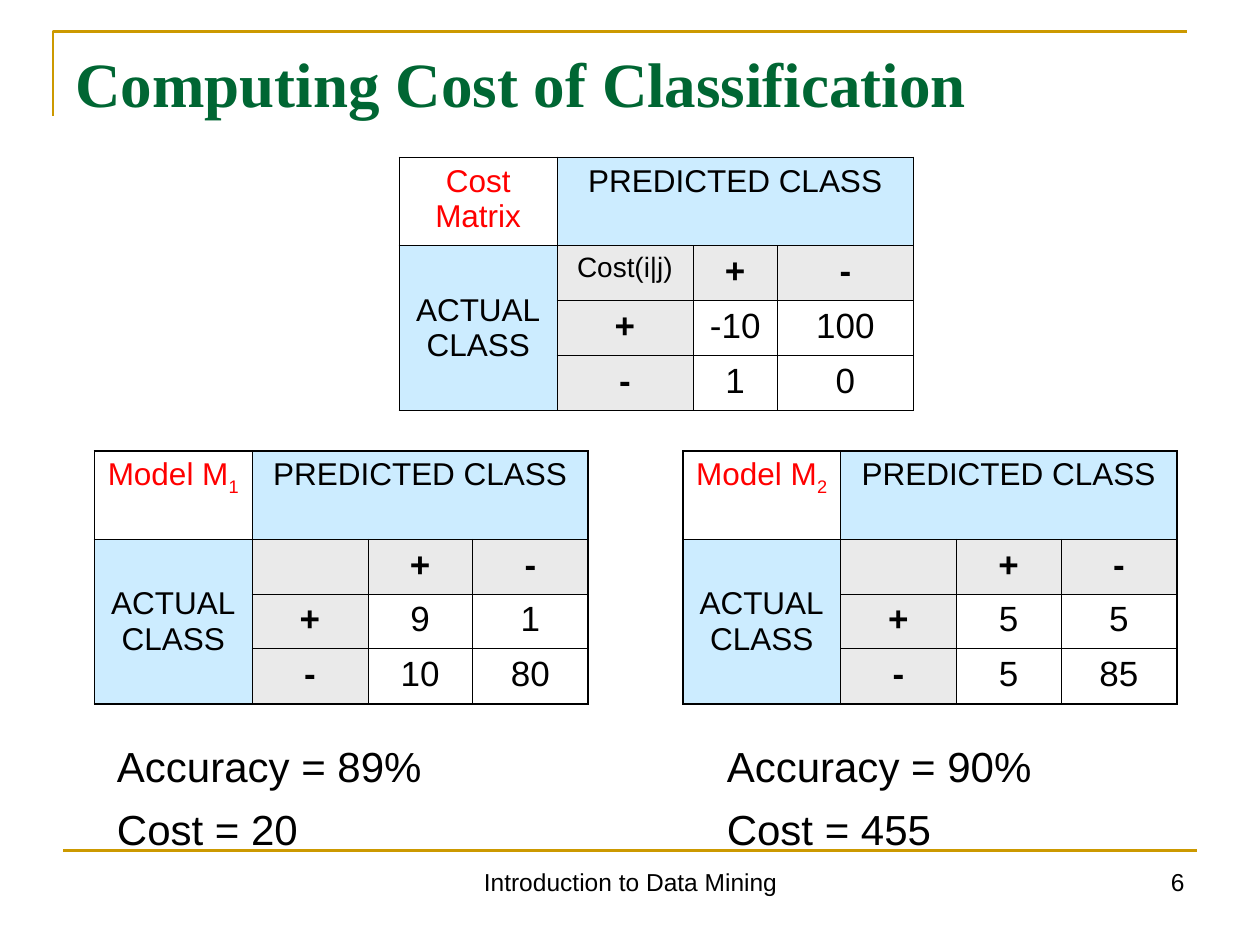
import lxml.etree
import pptx
import pptx.dml.color
import pptx.enum.shapes
import pptx.enum.text
import pptx.oxml.ns
import pptx.util

Inches = pptx.util.Inches
Pt = pptx.util.Pt
RGBColor = pptx.dml.color.RGBColor
Align = pptx.enum.text.PP_ALIGN
Anchor = pptx.enum.text.MSO_ANCHOR
qn = pptx.oxml.ns.qn

GOLD = RGBColor(0xCC, 0x99, 0x00)
GREEN = RGBColor(0x00, 0x66, 0x33)
RED = RGBColor(0xFF, 0x00, 0x00)
BLACK = RGBColor(0x00, 0x00, 0x00)
PALE_BLUE = RGBColor(0xCC, 0xEC, 0xFF)
PALE_GRAY = RGBColor(0xEA, 0xEA, 0xEA)


def write_text(frame, text, size=18, color=BLACK, bold=False, font="Arial",
               align=Align.LEFT, before=0, after=0, subscript=""):
    frame.word_wrap = True
    for index, line in enumerate(text.split("\n")):
        paragraph = frame.add_paragraph() if index else frame.paragraphs[0]
        paragraph.alignment = align
        paragraph.space_before = Pt(before)
        paragraph.space_after = Pt(after)
        for part in filter(None, (line, subscript)):
            run = paragraph.add_run()
            run.text = part
            run.font.size = Pt(size)
            run.font.name = font
            run.font.bold = bold
            run.font.color.rgb = color
        if subscript:
            run._r.get_or_add_rPr().set("baseline", "-25000")


def set_borders(cell, widths):
    properties = cell._tc.get_or_add_tcPr()
    for index, (side, width) in enumerate(zip("LRTB", widths)):
        border = lxml.etree.Element(qn(f"a:ln{side}"), w=str(Pt(width)))
        fill = lxml.etree.SubElement(border, qn("a:solidFill"))
        lxml.etree.SubElement(fill, qn("a:srgbClr"), val=str(BLACK))
        properties.insert(index, border)


deck = pptx.Presentation()
deck.slide_width = Inches(10)
deck.slide_height = Inches(7.5)
slide = deck.slides.add_slide(deck.slide_layouts[6])

outline = slide.shapes.build_freeform(Inches(0.42), Inches(0.92))
outline.add_line_segments(
    [(Inches(0.42), Inches(0.25)), (Inches(9.42), Inches(0.25))], close=False)
title_frame = outline.convert_to_shape()
title_frame.shadow.inherit = False
title_frame.fill.background()
footer_rule = slide.shapes.add_connector(
    pptx.enum.shapes.MSO_CONNECTOR.STRAIGHT,
    Inches(0.5), Inches(6.75), Inches(9.5), Inches(6.75))
lxml.etree.SubElement(footer_rule._element.spPr, qn("a:effectLst"))
for rule in (title_frame, footer_rule):
    rule.line.color.rgb = GOLD
    rule.line.width = Pt(1.5)

title = slide.shapes.add_textbox(Inches(0.5), Inches(0.3), Inches(9), Inches(0.78))
title.text_frame.vertical_anchor = Anchor.MIDDLE
title.text_frame.margin_bottom = Inches(0.13)
write_text(title.text_frame, "Computing Cost of Classification", size=36,
           color=GREEN, bold=True, font="Times New Roman")

for text, left, width, align in (
    ("Introduction to Data Mining", 3.42, 3.17, Align.CENTER),
    ("6", 7.17, 2.33, Align.RIGHT),
):
    footer = slide.shapes.add_textbox(Inches(left), Inches(6.83), Inches(width), Inches(0.52))
    write_text(footer.text_frame, text, size=14, align=align)

row_heights = (0.7, 0.43, 0.43, 0.44)
cost_columns = (1.25, 1.08, 0.67, 1.08)
model_columns = (1.25, 0.92, 0.83, 0.92)
matrices = (
    ("Cost Matrix", "", "Cost(i|j)", 3.17, 1.25, cost_columns, (("-10", "100"), ("1", "0"))),
    ("Model M", "1", "", 0.75, 3.58, model_columns, (("9", "1"), ("10", "80"))),
    ("Model M", "2", "", 5.42, 3.58, model_columns, (("5", "5"), ("5", "85"))),
)
for name, subscript, corner, left, top, columns, values in matrices:
    matrix = slide.shapes.add_table(
        4, 4, Inches(left), Inches(top),
        Inches(sum(columns)), Inches(sum(row_heights))).table
    matrix.first_row = False
    matrix.horz_banding = False
    for column, width in zip(matrix.columns, columns):
        column.width = Inches(width)
    for row, height in zip(matrix.rows, row_heights):
        row.height = Inches(height)
    matrix.cell(0, 1).merge(matrix.cell(0, 3))
    matrix.cell(1, 0).merge(matrix.cell(3, 0))

    labels = (
        (name, "PREDICTED CLASS", "", ""),
        ("ACTUAL\nCLASS", corner, "+", "-"),
        ("", "+", *values[0]),
        ("", "-", *values[1]),
    )
    for r, row_labels in enumerate(labels):
        for c, label in enumerate(row_labels):
            cell = matrix.cell(r, c)
            last_row = r + cell.span_height - 1 if cell.is_merge_origin else r
            last_column = c + cell.span_width - 1 if cell.is_merge_origin else c
            if r == c == 0 or (r > 1 and c > 1):
                cell.fill.background()
            else:
                cell.fill.solid()
                cell.fill.fore_color.rgb = PALE_GRAY if r and c else PALE_BLUE
            outer_sides = (c == 0, last_column == 3, r == 0, last_row == 3)
            set_borders(cell, [1.08 if outer else 0.45 for outer in outer_sides])
            if c == 0 and r:
                cell.vertical_anchor = Anchor.MIDDLE
            if label:
                is_corner = r == c == 1
                inner = r > 0 and c > 0
                write_text(
                    cell.text_frame, label,
                    size=16 if is_corner else 20 if inner else 18,
                    color=RED if r == c == 0 else BLACK,
                    bold=inner and not is_corner and (r == 1 or c == 1),
                    align=Align.CENTER,
                    subscript=subscript if r == c == 0 else "")

for left, result in (
    (0.83, "Accuracy = 89%\nCost = 20"),
    (5.67, "Accuracy = 90%\nCost = 455"),
):
    summary = slide.shapes.add_textbox(Inches(left), Inches(5.83), Inches(3.33), Inches(1.08))
    write_text(summary.text_frame, result, size=24, before=3, after=4)

deck.save("out.pptx")
